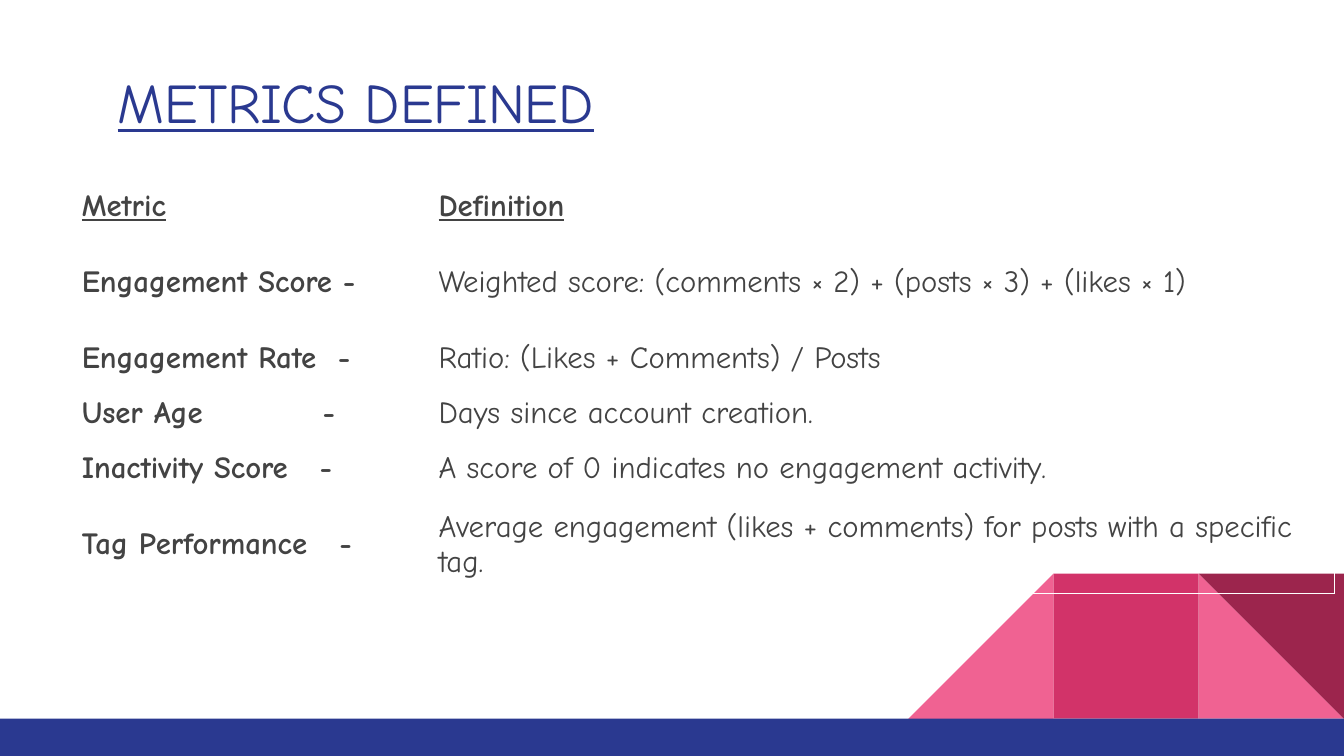
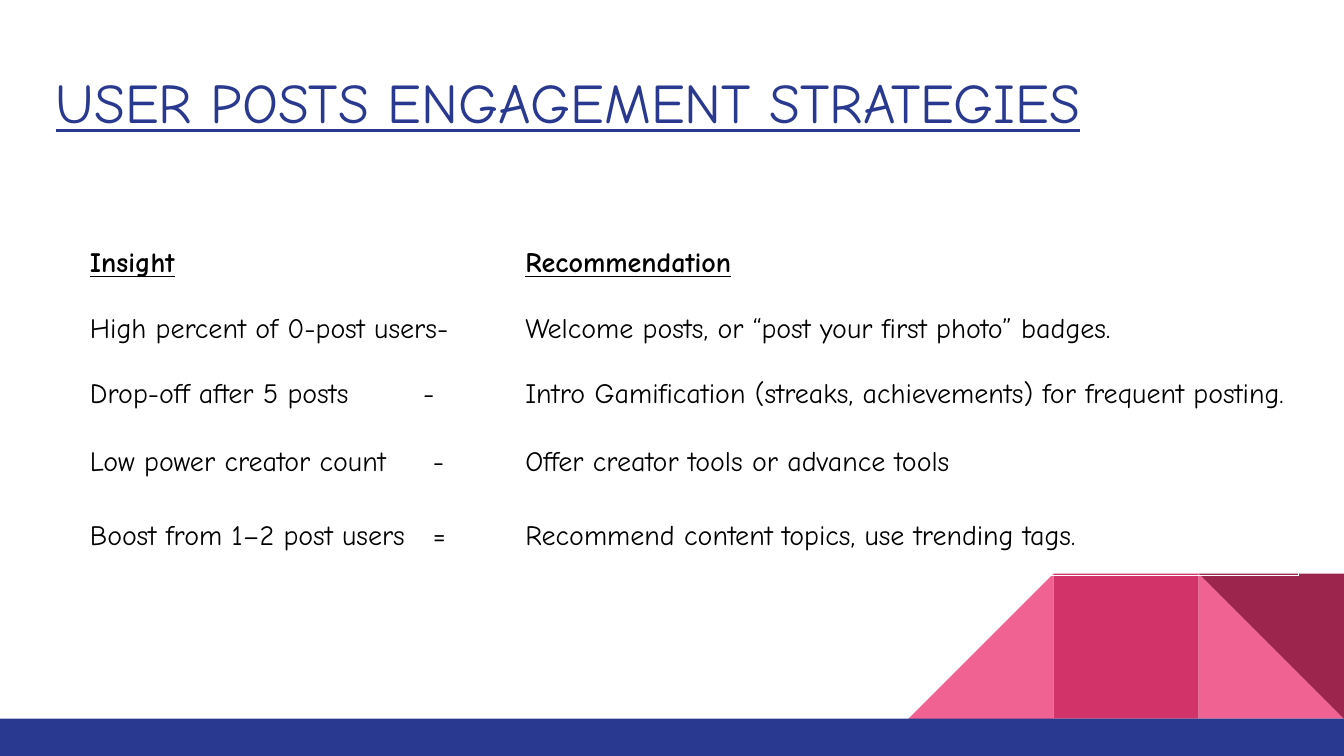
from lxml import etree
from pptx import Presentation
from pptx.dml.color import RGBColor
from pptx.enum.shapes import MSO_SHAPE
from pptx.enum.text import MSO_ANCHOR
from pptx.oxml.ns import qn
from pptx.util import Pt

RECTANGLE = MSO_SHAPE.RECTANGLE
TRIANGLE = MSO_SHAPE.RIGHT_TRIANGLE
MIDDLE = MSO_ANCHOR.MIDDLE

WIDTH, HEIGHT = 960, 540
BAND_TOP = 513.4
TILE = 103.7


def color(hex_value):
    """Turn a hex string into a colour."""
    return RGBColor.from_string(hex_value)


class Deck:
    """Hold the shared style and the current slide."""

    FONT = "Comic Neue"
    NAVY, PINK, ROSE, WINE = "2A3990", "F06292", "D23369", "9C254D"

    def __init__(self):
        """Start an empty widescreen presentation."""
        self.presentation = Presentation()
        self.presentation.slide_width = Pt(WIDTH)
        self.presentation.slide_height = Pt(HEIGHT)
        self.slide = None

    def new_slide(self, title, title_left):
        """Add a slide with its corner pattern, band and title."""
        layout = self.presentation.slide_layouts[6]
        self.slide = self.presentation.slides.add_slide(layout)
        self.corner()
        self.block(RECTANGLE, 0, BAND_TOP, WIDTH, HEIGHT - BAND_TOP, self.NAVY)
        self.title(title, title_left)

    def corner(self):
        """Draw the tiles that end at the lower right corner."""
        tiles = [
            (1, TRIANGLE, self.PINK, 0),
            (3, TRIANGLE, self.PINK, 270),
            (2, RECTANGLE, self.ROSE, 0),
            (1, TRIANGLE, self.WINE, 180),
        ]
        for steps, kind, fill, rotation in tiles:
            left = WIDTH - steps * TILE
            self.block(kind, left, BAND_TOP - TILE, TILE, TILE, fill, rotation)

    def block(self, kind, left, top, width, height, fill, rotation=0):
        """Draw one flat shape without an outline."""
        shape = self.slide.shapes.add_shape(
            kind, Pt(left), Pt(top), Pt(width), Pt(height))
        shape.shadow.inherit = False
        shape.fill.solid()
        shape.fill.fore_color.rgb = color(fill)
        shape.line.fill.background()
        shape.rotation = rotation

    def title(self, text, left):
        """Write the underlined slide title."""
        box = self.slide.shapes.add_textbox(
            Pt(left), Pt(43.2), Pt(927 - left), Pt(64))
        frame = box.text_frame
        frame.word_wrap = True
        frame.vertical_anchor = MIDDLE
        paragraph = frame.paragraphs[0]
        paragraph.line_spacing = 0.9
        self.run(paragraph, text, 40, self.NAVY, underline=True)

    def run(self, paragraph, text, size, ink, bold=False, underline=False):
        """Add one styled run to a paragraph."""
        run = paragraph.add_run()
        run.text = text
        font = run.font
        font.name = self.FONT
        font.size = Pt(size)
        font.color.rgb = color(ink)
        font.bold = bold
        font.underline = underline

    def tab_stop(self, paragraph, position):
        """Set the place where the text after a tab begins."""
        stops = etree.SubElement(
            paragraph._p.get_or_add_pPr(), qn("a:tabLst"))
        etree.SubElement(
            stops, qn("a:tab"), pos=str(Pt(position)), algn="l")

    def table(self, left, top, widths, heights, rows, size, ink, bold_terms):
        """Add a plain two-column table with an underlined header row."""
        table = self.slide.shapes.add_table(
            len(rows), len(widths), Pt(left), Pt(top),
            Pt(sum(widths)), Pt(sum(heights))).table
        table.first_row = False
        table.horz_banding = False
        for column, width in zip(table.columns, widths):
            column.width = Pt(width)
        for index, (term, dash_at, detail) in enumerate(rows):
            table.rows[index].height = Pt(heights[index])
            header = index == 0
            for side, text in enumerate((term, detail)):
                cell = table.cell(index, side)
                cell.fill.background()
                cell.vertical_anchor = MIDDLE
                paragraph = cell.text_frame.paragraphs[0]
                if side == 0 and dash_at:
                    self.tab_stop(paragraph, dash_at)
                bold = header or (bold_terms and side == 0)
                self.run(paragraph, text, size, ink, bold, header)


def main():
    """Build and save both slides."""
    metrics = [
        ("Metric", None, "Definition"),
        ("Engagement Score -", None,
         "Weighted score: (comments × 2) + (posts × 3) + (likes × 1)"),
        ("Engagement Rate\t-", 183, "Ratio: (Likes + Comments) / Posts"),
        ("User Age\t-", 172, "Days since account creation."),
        ("Inactivity Score\t-", 170,
         "A score of 0 indicates no engagement activity."),
        ("Tag Performance\t-", 184,
         "Average engagement (likes + comments) for posts with a specific tag."),
    ]
    strategies = [
        ("Insight", None, "Recommendation"),
        ("High percent of 0-post users-", None,
         "Welcome posts, or “post your first photo” badges."),
        ("Drop-off after 5 posts\t-", 238,
         "Intro Gamification (streaks, achievements) for frequent posting."),
        ("Low power creator count\t-", 245,
         "Offer creator tools or advance tools"),
        ("Boost from 1–2 post users\t=", 245,
         "Recommend content topics, use trending tags."),
    ]
    deck = Deck()
    deck.new_slide("METRICS DEFINED", 77)
    deck.table(51.2, 127.4, [254.9, 647.3], [39.6, 69, 39.6, 39.6, 39.6, 69],
               metrics, 22, "434343", True)
    deck.new_slide("USER POSTS ENGAGEMENT STRATEGIES", 32.6)
    deck.table(57, 165, [311, 559.4], [46.8, 46.8, 46.8, 50.4, 55.4],
               strategies, 20, "000000", False)
    deck.presentation.save("out.pptx")


if __name__ == "__main__":
    main()
